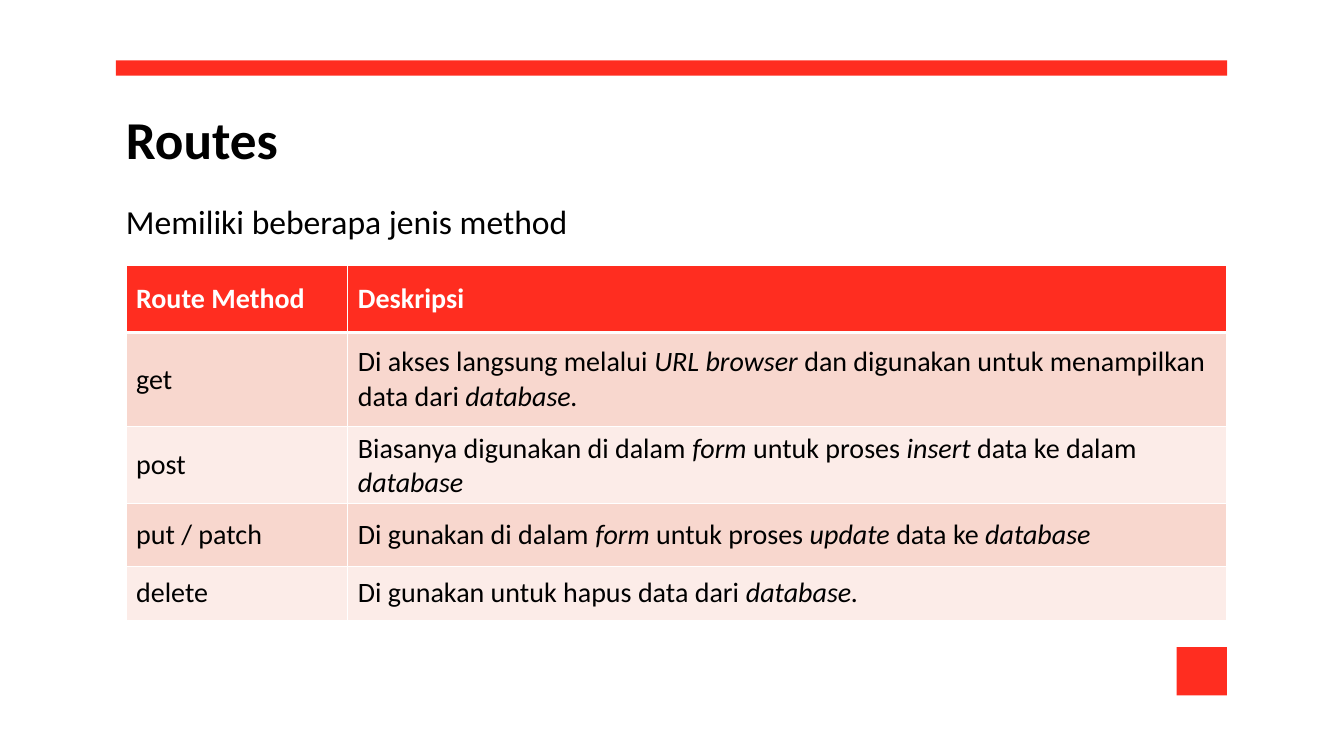
from lxml.etree import SubElement
from pptx import Presentation
from pptx.dml.color import RGBColor
from pptx.enum.shapes import MSO_SHAPE
from pptx.enum.text import MSO_ANCHOR, MSO_AUTO_SIZE
from pptx.oxml.ns import qn
from pptx.util import Inches, Pt

RED = RGBColor(0xFF, 0x2D, 0x20)
DARK_BAND = RGBColor(0xF8, 0xD7, 0xCE)
LIGHT_BAND = RGBColor(0xFC, 0xEC, 0xE8)
BLACK = RGBColor(0, 0, 0)
WHITE = RGBColor(0xFF, 0xFF, 0xFF)
FONT = "Calibri"

TITLE = "Routes"
SUBTITLE = "Memiliki beberapa jenis method"
# Runs in a cell alternate between upright and italic, starting upright.
ROUTES = [
    (["Route Method"], ["Deskripsi"]),
    (["get"], ["Di akses langsung melalui ", "URL browser ",
               "dan digunakan untuk menampilkan data dari ", "database."]),
    (["post"], ["Biasanya digunakan di dalam ", "form ", "untuk proses ",
                "insert ", "data ke dalam ", "database"]),
    (["put / patch"], ["Di gunakan di dalam ", "form ", "untuk proses ",
                       "update ", "data ke ", "database"]),
    (["delete"], ["Di gunakan untuk hapus data dari ", "database."]),
]

LEFT, CONTENT_WIDTH = 1.15, 11.02
COLUMNS = [2.2, 8.72]
ROWS = [0.67, 0.93, 0.63, 0.62, 0.54]
RIGHT = LEFT + CONTENT_WIDTH
SQUARE_WIDTH = 0.5


def add_run(paragraph, text, size, color, bold=False, italic=False):
    run = paragraph.add_run()
    run.text = text
    font = run.font
    font.name, font.size, font.bold, font.italic = FONT, Pt(size), bold, italic
    font.color.rgb = color


def add_heading(slide, box, text, size, bold=False):
    frame = slide.shapes.add_textbox(*map(Inches, box)).text_frame
    frame.word_wrap = True
    frame.auto_size = MSO_AUTO_SIZE.SHAPE_TO_FIT_TEXT
    add_run(frame.paragraphs[0], text, size, BLACK, bold)


def add_red_block(slide, box):
    block = slide.shapes.add_shape(MSO_SHAPE.RECTANGLE, *map(Inches, box))
    block.shadow.inherit = False
    block.fill.solid()
    block.fill.fore_color.rgb = RED
    block.line.fill.background()


def set_borders(cell, top, bottom):
    """Draw white cell borders; must run before the fill is set."""
    properties = cell._tc.get_or_add_tcPr()
    for side, points in (("L", 1), ("R", 1), ("T", top), ("B", bottom)):
        line = SubElement(properties, qn(f"a:ln{side}"), w=str(Pt(points)))
        color = SubElement(line, qn("a:solidFill"))
        SubElement(color, qn("a:srgbClr"), val=str(WHITE))


def add_routes_table(slide):
    box = (RIGHT - sum(COLUMNS), 2.63, sum(COLUMNS), sum(ROWS))
    table = slide.shapes.add_table(
        len(ROWS), len(COLUMNS), *map(Inches, box)).table
    for column, width in zip(table.columns, COLUMNS):
        column.width = Inches(width)
    for index, (row, height, texts) in enumerate(zip(table.rows, ROWS, ROUTES)):
        row.height = Inches(height)
        header = index == 0
        band = RED if header else DARK_BAND if index % 2 else LIGHT_BAND
        for cell, runs in zip(row.cells, texts):
            set_borders(cell, 3 if index == 1 else 1, 3 if header else 1)
            cell.fill.solid()
            cell.fill.fore_color.rgb = band
            cell.vertical_anchor = MSO_ANCHOR.MIDDLE
            for position, text in enumerate(runs):
                add_run(cell.text_frame.paragraphs[0], text, 20,
                        WHITE if header else BLACK, header, position % 2 == 1)


def main():
    deck = Presentation()
    deck.slide_width, deck.slide_height = Inches(13.33), Inches(7.5)
    slide = deck.slides.add_slide(deck.slide_layouts[6])
    add_heading(slide, (LEFT, 1.01, CONTENT_WIDTH, 0.74), TITLE, 38, bold=True)
    add_red_block(slide, (LEFT, 0.6, CONTENT_WIDTH, 0.15))
    add_red_block(slide, (RIGHT - SQUARE_WIDTH, 6.42, SQUARE_WIDTH, 0.48))
    add_heading(slide, (LEFT, 1.94, 7.15, 0.5), SUBTITLE, 24)
    add_routes_table(slide)
    deck.save("out.pptx")


if __name__ == "__main__":
    main()
